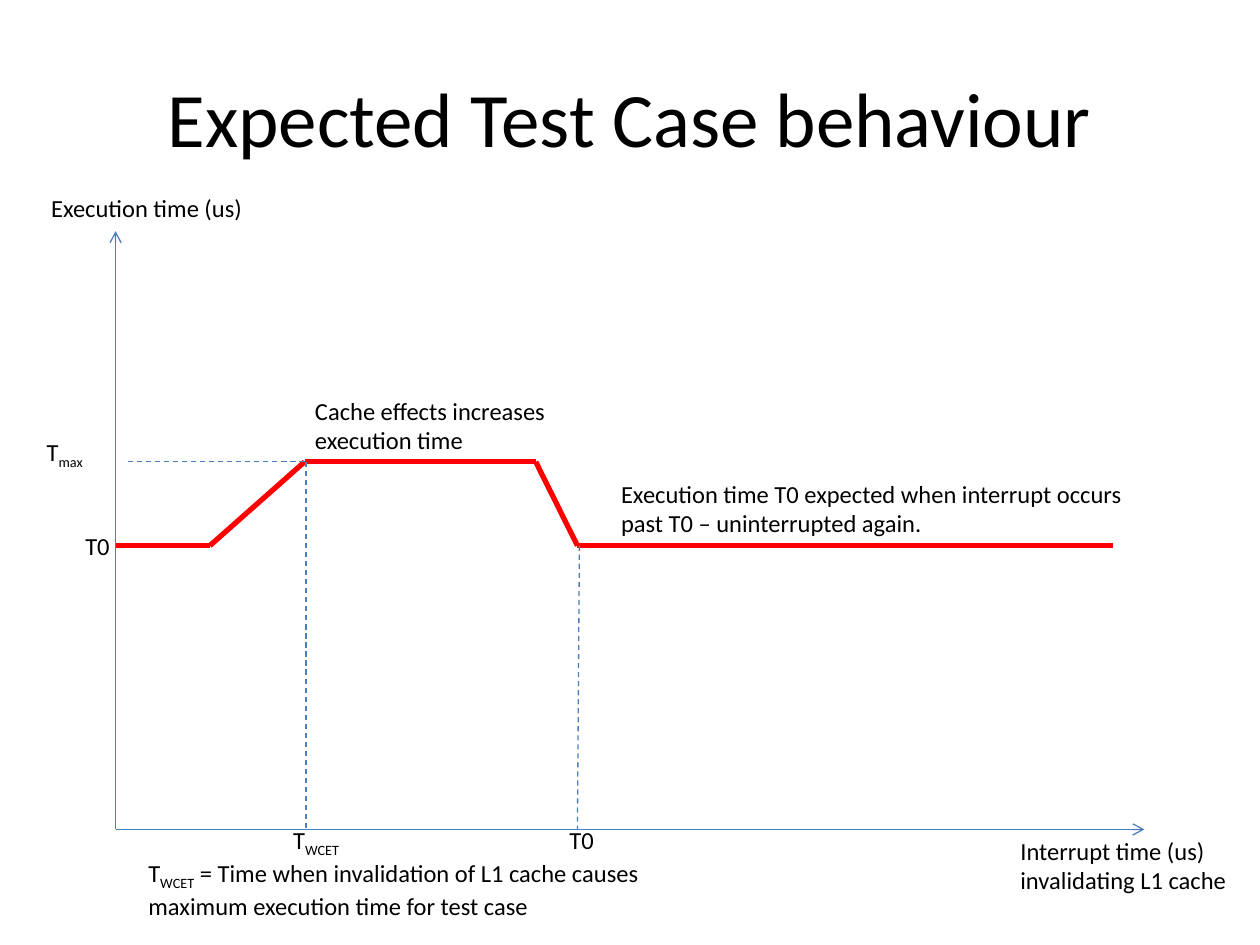
import pptx
import pptx.dml.color
import pptx.enum.dml
import pptx.enum.shapes
import pptx.enum.text
import pptx.oxml
import pptx.oxml.ns
import pptx.util
from itertools import pairwise

Cm, Pt = pptx.util.Cm, pptx.util.Pt
BLACK = pptx.dml.color.RGBColor(0x00, 0x00, 0x00)
BLUE = pptx.dml.color.RGBColor(0x4B, 0x7E, 0xBC)
RED = pptx.dml.color.RGBColor(0xFF, 0x00, 0x00)
FONT = "Calibri"

# Content: positions in cm
TITLE = "Expected Test Case behaviour"
ORIGIN_X, ORIGIN_Y = 2.33, 16.72
AXIS_TOP, AXIS_RIGHT = 4.66, 23.07
T0_Y, TMAX_Y = 11.0, 9.31
CURVE = [(ORIGIN_X, T0_Y), (4.23, T0_Y), (6.14, TMAX_Y),
         (10.8, TMAX_Y), (11.64, T0_Y), (22.44, T0_Y)]
AXES = [((ORIGIN_X, ORIGIN_Y), (ORIGIN_X, AXIS_TOP)),
        ((ORIGIN_X, ORIGIN_Y), (AXIS_RIGHT, ORIGIN_Y))]
GUIDES = [((6.14, TMAX_Y), (2.5, TMAX_Y)),
          ((11.68, T0_Y), (11.64, ORIGIN_Y)),
          ((6.17, TMAX_Y), (6.17, ORIGIN_Y))]

# Labels: left, top, width, wrap, lines of (text, is subscript)
LABELS = [
    (0.78, 3.76, 4.42, False, [[("Execution time (us)", False)]]),
    (20.32, 16.72, 4.7, False, [[("Interrupt time (us)", False)],
                                [("invalidating L1 cache", False)]]),
    (1.47, 10.59, 1.02, False, [[("T0", False)]]),
    (0.69, 8.69, 1.3, False, [[("T", False), ("max", True)]]),
    (11.23, 16.51, 1.02, False, [[("T0", False)]]),
    (12.27, 9.53, 10.82, False,
     [[("Execution time T0 expected when interrupt occurs", False)],
      [("past T0 – uninterrupted again.", False)]]),
    (6.1, 7.85, 5.21, False, [[("Cache effects increases", False)],
                              [("execution time", False)]]),
    (5.66, 16.51, 1.55, False, [[("T", False), ("WCET", True)]]),
    (2.74, 17.17, 11.33, True,
     [[("T", False), ("WCET", True),
       (" = Time when invalidation of L1 cache causes", False)],
      [("maximum execution time for test case", False)]]),
]
LABEL_HEIGHTS = {1: 0.86, 2: 1.45}


def add_line(slide, start, end, color, width, dashed=False, arrow=False):
    line = slide.shapes.add_connector(
        pptx.enum.shapes.MSO_CONNECTOR.STRAIGHT,
        *(Cm(value) for value in start + end))
    line.line.color.rgb = color
    line.line.width = Pt(width)
    if dashed:
        line.line.dash_style = pptx.enum.dml.MSO_LINE.DASH
    properties = line._element.spPr
    if arrow:
        tail = pptx.oxml.parse_xml(
            f'<a:tailEnd {pptx.oxml.ns.nsdecls("a")} type="arrow"/>')
        line.line._get_or_add_ln().append(tail)
    properties.append(pptx.oxml.parse_xml(
        f'<a:effectLst {pptx.oxml.ns.nsdecls("a")}/>'))


def add_text(slide, left, top, width, height, lines, size, wrap):
    frame = slide.shapes.add_textbox(
        Cm(left), Cm(top), Cm(width), Cm(height)).text_frame
    frame.word_wrap = wrap
    for index, parts in enumerate(lines):
        paragraph = frame.add_paragraph() if index else frame.paragraphs[0]
        for text, subscript in parts:
            run = paragraph.add_run()
            run.text = text
            run.font.name = FONT
            run.font.size = Pt(size)
            run.font.color.rgb = BLACK
            if subscript:
                run._r.get_or_add_rPr().set("baseline", "-25000")
    return frame


def main():
    deck = pptx.Presentation()
    deck.slide_width, deck.slide_height = Cm(25.4), Cm(19.05)
    slide = deck.slides.add_slide(deck.slide_layouts[6])

    # Title
    title = add_text(slide, 1.27, 0.76, 22.86, 3.18,
                     [[(TITLE, False)]], 44, True)
    title.vertical_anchor = pptx.enum.text.MSO_ANCHOR.MIDDLE
    title.paragraphs[0].alignment = pptx.enum.text.PP_ALIGN.CENTER

    # Axes, execution time curve and guides
    for start, end in AXES:
        add_line(slide, start, end, BLUE, 0.75, arrow=True)
    for start, end in pairwise(CURVE):
        add_line(slide, start, end, RED, 3)
    for start, end in GUIDES:
        add_line(slide, start, end, BLUE, 0.75, dashed=True)

    # Labels
    for left, top, width, wrap, lines in LABELS:
        label = add_text(slide, left, top, width, LABEL_HEIGHTS[len(lines)],
                         lines, 14, wrap)
        label.auto_size = pptx.enum.text.MSO_AUTO_SIZE.SHAPE_TO_FIT_TEXT

    deck.save("out.pptx")


if __name__ == "__main__":
    main()
